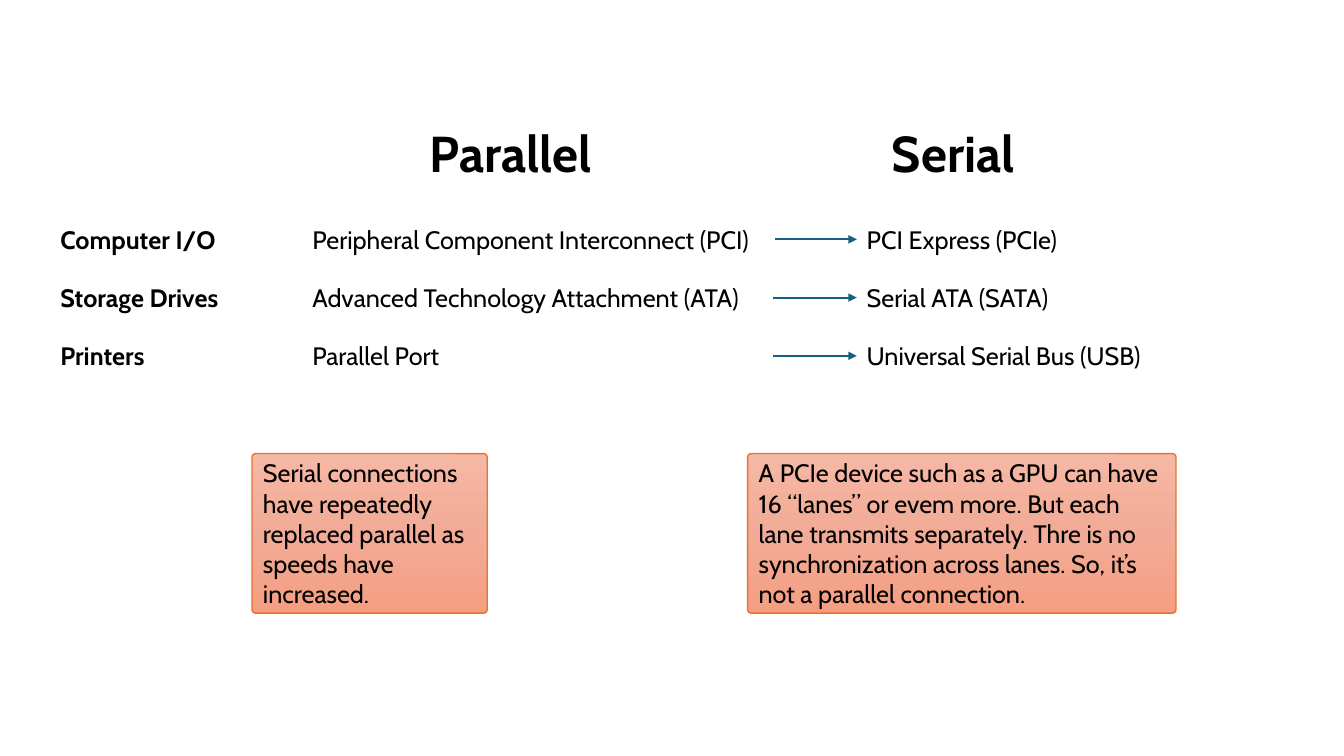
import copy
import dataclasses

import lxml.etree
import pptx
import pptx.dml.color
import pptx.enum.shapes
import pptx.enum.text
import pptx.oxml.ns
import pptx.util

WIDE, HIGH = pptx.util.Inches(13.333), pptx.util.Inches(7.5)
COLS, ROWS = 160, 90  # the slide's grid
FONT = "Cabin"
TOP, STEP = 26.1, 6.93  # first row and row pitch
LABEL, LEFT, RIGHT = 6, 36, 102  # columns
TAIL = 92  # where an arrow starts
BLACK, BLUE, RUST = "000000", "156082", "E97132"
FADE = ((0, "F5B8A5"), (0.5, "F2AB96"), (1, "F59E82"))


@dataclasses.dataclass
class Text:
    words: str
    col: float
    row: float
    wide: float
    high: float = 4.8
    size: int = 18
    bold: bool = False
    wrap: bool = False


@dataclasses.dataclass
class Pair:
    label: str
    old: str
    old_wide: float
    new: str
    new_wide: float
    joined: bool = False


HEADS = (
    Text("Parallel", 50, 14, 23.4, 8.5, 36, True),
    Text("Serial", 105, 14, 18.4, 8.5, 36, True),
)
PAIRS = (
    Pair("Computer I/O", "Peripheral Component Interconnect (PCI)", 56.3,
         "PCI Express (PCIe)", 26.5, True),
    Pair("Storage Drives", "Advanced Technology Attachment (ATA)", 54,
         "Serial ATA (SATA)", 24),
    Pair("Printers", "Parallel Port", 18.1, "Universal Serial Bus (USB)", 36.2),
)
NOTES = (
    Text("Serial connections have repeatedly replaced parallel as speeds have "
         "increased.", 30, 54, 28, 19, wrap=True),
    Text("A PCIe device such as a GPU can have 16 “lanes” or evem more. But each "
         "lane transmits separately. Thre is no synchronization across lanes. "
         "So, it’s not a parallel connection.", 89, 54, 51, 19, wrap=True),
)


def across(cols: float) -> int:
    return round(WIDE * cols / COLS)


def down(rows: float) -> int:
    return round(HIGH * rows / ROWS)


def paint(hue: str) -> pptx.dml.color.RGBColor:
    return pptx.dml.color.RGBColor.from_string(hue)


def place(item: Text) -> tuple[int, int, int, int]:
    return across(item.col), down(item.row), across(item.wide), down(item.high)


def write(frame, item: Text) -> None:
    frame.word_wrap = item.wrap
    part = frame.paragraphs[0]
    part.alignment = pptx.enum.text.PP_ALIGN.LEFT
    run = part.add_run()
    run.text = item.words
    run.font.name = FONT
    run.font.size = pptx.util.Pt(item.size)
    run.font.bold = item.bold
    run.font.color.rgb = paint(BLACK)


def add_text(slide, item: Text):
    box = slide.shapes.add_textbox(*place(item))
    write(box.text_frame, item)
    box.text_frame.auto_size = pptx.enum.text.MSO_AUTO_SIZE.SHAPE_TO_FIT_TEXT
    return box


def add_note(slide, item: Text) -> None:
    kind = pptx.enum.shapes.MSO_SHAPE.ROUNDED_RECTANGLE
    note = slide.shapes.add_shape(kind, *place(item))
    note.shadow.inherit = False
    note.adjustments[0] = 0.023
    note.line.color.rgb = paint(RUST)
    note.line.width = pptx.util.Pt(1)
    note.fill.gradient()
    note.fill.gradient_angle = 270
    # The default blend has two stops; add a third
    stops = note.element.spPr.find(".//" + pptx.oxml.ns.qn("a:gsLst"))
    stops.insert(1, copy.deepcopy(stops[0]))
    for stop, (spot, hue) in zip(note.fill.gradient_stops, FADE):
        stop.position = spot
        stop.color.rgb = paint(hue)
    note.text_frame.vertical_anchor = pptx.enum.text.MSO_ANCHOR.MIDDLE
    write(note.text_frame, item)


def add_arrow(slide, old, new, joined: bool) -> None:
    mid = new.top + new.height // 2
    kind = pptx.enum.shapes.MSO_CONNECTOR.STRAIGHT
    arrow = slide.shapes.add_connector(kind, across(TAIL), mid, new.left, mid)
    if joined:
        arrow.begin_connect(old, 3)
    arrow.end_connect(new, 1)
    arrow.line.color.rgb = paint(BLUE)
    arrow.line.width = pptx.util.Pt(1.5)
    name = pptx.oxml.ns.qn
    props = arrow.element.spPr
    lxml.etree.SubElement(props.find(name("a:ln")), name("a:tailEnd"), type="triangle")
    lxml.etree.SubElement(props, name("a:effectLst"))


def main() -> None:
    deck = pptx.Presentation()
    deck.slide_width, deck.slide_height = WIDE, HIGH
    slide = deck.slides.add_slide(deck.slide_layouts[6])

    # Column heads
    for head in HEADS:
        add_text(slide, head)

    # One row for each change from parallel to serial
    for place_no, pair in enumerate(PAIRS):
        row = TOP + STEP * place_no
        add_text(slide, Text(pair.label, LABEL, row, 26, bold=True, wrap=True))
        old = add_text(slide, Text(pair.old, LEFT, row, pair.old_wide))
        new = add_text(slide, Text(pair.new, RIGHT, row, pair.new_wide))
        add_arrow(slide, old, new, pair.joined)

    # Notes
    for note in NOTES:
        add_note(slide, note)

    deck.save("out.pptx")


if __name__ == "__main__":
    main()
